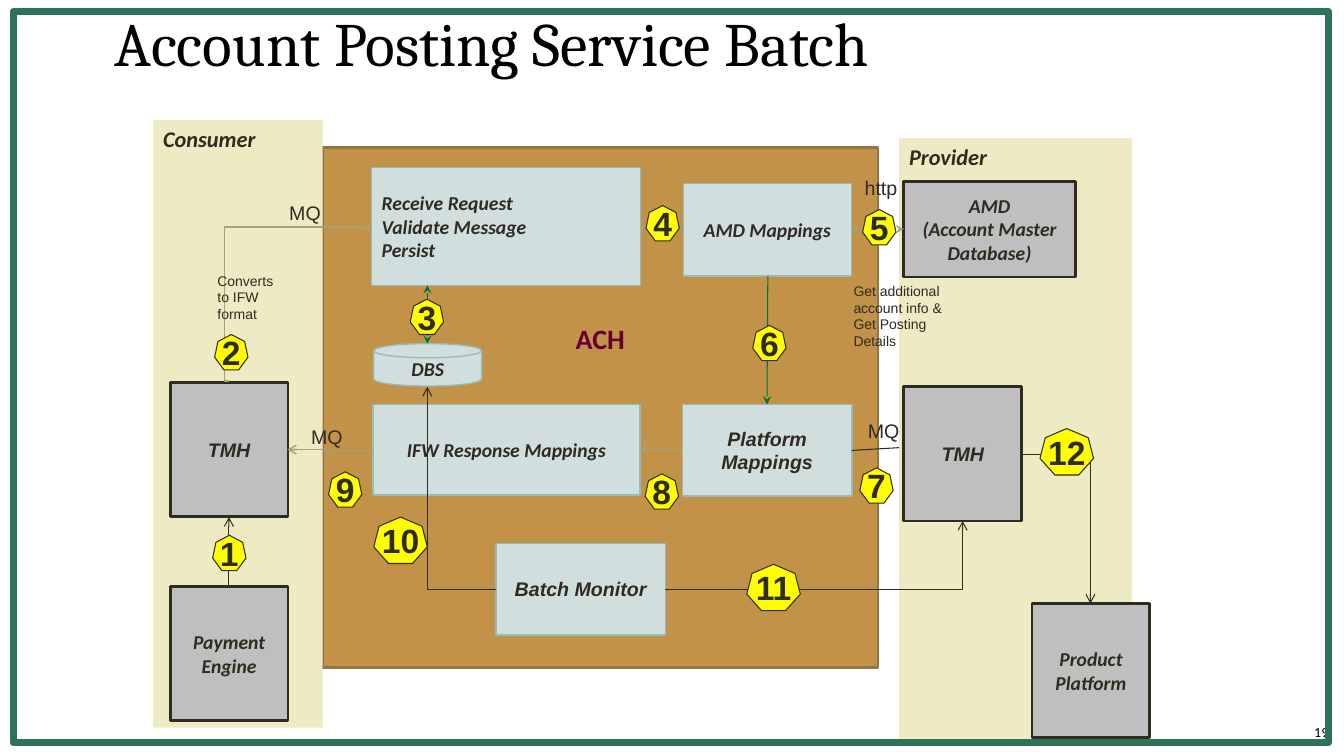
from dataclasses import dataclass

from lxml.etree import SubElement
from pptx import Presentation
from pptx.dml.color import RGBColor
from pptx.enum.shapes import MSO_CONNECTOR as CONN, MSO_SHAPE as SHAPE
from pptx.enum.text import MSO_ANCHOR as ANCHOR, PP_ALIGN as ALIGN
from pptx.oxml.ns import qn
from pptx.util import Cm, Pt


@dataclass(frozen=True)
class Theme:
    green: str = "2E7357"
    arrow_green: str = "00723E"
    brown: str = "C19247"
    brown_edge: str = "947645"
    cream: str = "EDEAC4"
    grey: str = "BFBFBF"
    teal: str = "D0DEDE"
    teal_edge: str = "98BBBA"
    olive: str = "A6A278"
    yellow: str = "FFFF00"
    ink: str = "2F2B20"
    plum: str = "660033"
    black: str = "000000"
    title: int = 44
    badge: int = 24
    zone: int = 20
    heading: int = 16
    body: int = 14
    small: int = 10
    sans: str = "Arial"
    box: str = "Calibri"
    serif: str = "Cambria"


class Diagram:
    def __init__(self, slide, theme):
        self.s, self.t = slide, theme

    def set_text(self, sp, text, size, font=None, color=None, bold=False,
                 italic=False, align=ALIGN.LEFT, anchor=ANCHOR.TOP, wrap=True):
        tf = sp.text_frame
        tf.text = text
        tf.word_wrap, tf.vertical_anchor = wrap, anchor
        for p in tf.paragraphs:
            p.alignment = align
            for r in p.runs:
                f = r.font
                f.name, f.size = font or self.t.sans, Pt(size)
                f.bold, f.italic = bold, italic
                f.color.rgb = RGBColor.from_string(color or self.t.ink)

    def shape(self, kind, rect, fill=None, line=None, width=1):
        sp = self.s.shapes.add_shape(kind, *map(Cm, rect))
        sp.shadow.inherit = False
        if fill:
            sp.fill.solid()
            sp.fill.fore_color.rgb = RGBColor.from_string(fill)
        else:
            sp.fill.background()
        if line:
            sp.line.color.rgb = RGBColor.from_string(line)
            sp.line.width = Pt(width)
        else:
            sp.line.fill.background()
        return sp

    def panel(self, text, rect):
        sp = self.shape(SHAPE.RECTANGLE, rect, self.t.cream)
        self.set_text(sp, text, self.t.heading, self.t.box, bold=True, italic=True)

    def box(self, text, rect, font=None, align=ALIGN.CENTER, kind=SHAPE.RECTANGLE):
        sp = self.shape(kind, rect, self.t.teal, self.t.teal_edge)
        self.set_text(sp, text, self.t.body, font or self.t.box, bold=True,
                      italic=True, align=align, anchor=ANCHOR.MIDDLE)

    def system(self, text, x, y, font=None, w=2.97, h=3.38):
        sp = self.shape(SHAPE.RECTANGLE, (x, y, w, h), self.t.grey, self.t.ink, 2)
        self.set_text(sp, text, self.t.body, font or self.t.box, bold=True,
                      italic=True, align=ALIGN.CENTER, anchor=ANCHOR.MIDDLE)

    def badge(self, number, x, y):
        size = (0.84, 0.89) if number < 10 else (1.35, 1.17)
        sp = self.shape(SHAPE.HEPTAGON, (x, y, *size), self.t.yellow, self.t.ink, 0.75)
        tf = sp.text_frame
        tf.margin_left = tf.margin_right = tf.margin_top = tf.margin_bottom = 0
        self.set_text(sp, str(number), self.t.badge, bold=True, align=ALIGN.CENTER,
                      anchor=ANCHOR.MIDDLE, wrap=False)

    def label(self, text, rect, size, font=None, color=None, wrap=True):
        sp = self.s.shapes.add_textbox(*map(Cm, rect))
        self.set_text(sp, text, size, font, color, wrap=wrap)

    def arrow(self, ends, color, width, tail=None, head=None, bend=None, adj=None):
        kind = CONN.ELBOW if bend else CONN.STRAIGHT
        c = self.s.shapes.add_connector(kind, *map(Cm, ends))
        c.line.color.rgb = RGBColor.from_string(color)
        c.line.width = Pt(width)
        pr = c._element.spPr
        ln = pr.find(qn("a:ln"))
        for tag, style in (("a:headEnd", head), ("a:tailEnd", tail)):
            if style:
                SubElement(ln, qn(tag), type=style)
        SubElement(pr, qn("a:effectLst"))
        if bend:
            geom = pr.find(qn("a:prstGeom"))
            geom.set("prst", bend)
            if adj is not None:
                SubElement(geom.find(qn("a:avLst")), qn("a:gd"),
                           name="adj1", fmla=f"val {adj}")


def main():
    prs = Presentation()
    prs.slide_width, prs.slide_height = Cm(33.87), Cm(19.05)
    t = Theme()
    d = Diagram(prs.slides.add_slide(prs.slide_layouts[6]), t)

    # Page number, frame and title
    d.label("19", (32.87, 18.11, 0.99, 0.61), t.small, t.box, t.black, wrap=False)
    d.shape(SHAPE.RECTANGLE, (0.33, 0.3, 33.15, 18.42), line=t.green, width=5)
    d.label("Account Posting Service Batch", (2.64, 0, 24.43, 2.13),
            t.title, t.serif, t.black)

    # Zones
    ach = d.shape(SHAPE.RECTANGLE, (8.13, 3.71, 14, 13.11), t.brown, t.brown_edge, 2)
    ach.text_frame.margin_top = Cm(4.4)
    d.set_text(ach, "ACH", t.zone, t.box, t.plum, bold=True, align=ALIGN.CENTER)
    d.panel("Provider", (22.66, 3.48, 5.87, 15.14))
    d.panel("Consumer", (3.86, 3.02, 4.27, 15.32))

    # Processing steps
    d.box("Receive Request\nValidate Message\nPersist",
          (9.37, 4.22, 6.78, 2.97), align=ALIGN.LEFT)
    d.box("IFW Response Mappings", (9.4, 10.19, 6.73, 2.29))
    d.box("DBS", (9.42, 8.66, 2.72, 1.07), kind=SHAPE.FLOWCHART_MAGNETIC_DISK)
    d.box("AMD Mappings", (17.22, 4.62, 4.24, 2.34))
    d.box("Platform Mappings", (17.2, 10.19, 4.27, 2.31), t.sans)
    d.box("Batch Monitor", (12.5, 13.69, 4.27, 2.31), t.sans)

    # Consumer and provider systems
    d.system("AMD\n(Account Master Database)", 22.78, 4.57, w=4.32, h=2.41)
    d.system("TMH", 4.29, 9.63, t.sans)
    d.system("TMH", 22.78, 9.75, t.sans)
    d.system("Payment Engine", 4.29, 14.78)
    d.system("Product Platform", 26.01, 15.21)

    # Message flows
    step, corner = "bentConnector3", "bentConnector2"
    d.arrow((5.77, 9.6, 9.37, 5.72), t.olive, 1, "stealth", bend=step, adj=-3300)
    d.arrow((16.13, 5.72, 17.2, 5.69), t.olive, 1, "stealth")
    d.arrow((9.4, 11.35, 7.24, 11.33), t.olive, 1, "arrow", bend=step)
    d.arrow((17.2, 11.3, 16.13, 11.3), t.olive, 1, "stealth", bend=step)
    d.arrow((21.46, 5.79, 22.78, 5.77), t.olive, 1, "stealth", "stealth")
    d.arrow((10.77, 8.66, 10.77, 7.19), t.arrow_green, 0.75, "stealth", "stealth")
    d.arrow((19.35, 6.96, 19.33, 10.19), t.arrow_green, 0.75, "stealth")
    d.arrow((5.77, 14.78, 5.77, 13.03), t.ink, 0.75, "arrow")
    d.arrow((21.46, 11.35, 22.66, 11.28), t.ink, 0.75)
    for ends in ((12.5, 14.86, 10.77, 9.75), (16.76, 14.86, 24.26, 13.13),
                 (25.73, 11.46, 27.48, 15.21)):
        d.arrow(ends, t.ink, 0.75, "arrow", bend=corner)

    # Flow labels
    for text, x, y in (("MQ", 21.62, 10.44), ("MQ", 7.04, 4.95),
                       ("MQ", 7.59, 10.59), ("http", 21.54, 4.32)):
        d.label(text, (x, y, 1.47, 0.86), t.body)
    d.label("Converts to IFW format", (5.23, 6.73, 2.01, 1.55), t.small)
    d.label("Get additional account info & Get Posting Details",
            (21.26, 6.99, 3.18, 1.96), t.small)

    # Numbered steps
    places = ((5.36, 13.49), (5.41, 8.43), (10.34, 7.54), (16.28, 5.18),
              (21.74, 5.28), (18.97, 8.2), (21.67, 11.79), (16.26, 11.94),
              (8.28, 11.89), (9.42, 13.03), (18.82, 14.22), (26.21, 10.8))
    for number, (x, y) in enumerate(places, 1):
        d.badge(number, x, y)

    prs.save("out.pptx")


if __name__ == "__main__":
    main()
